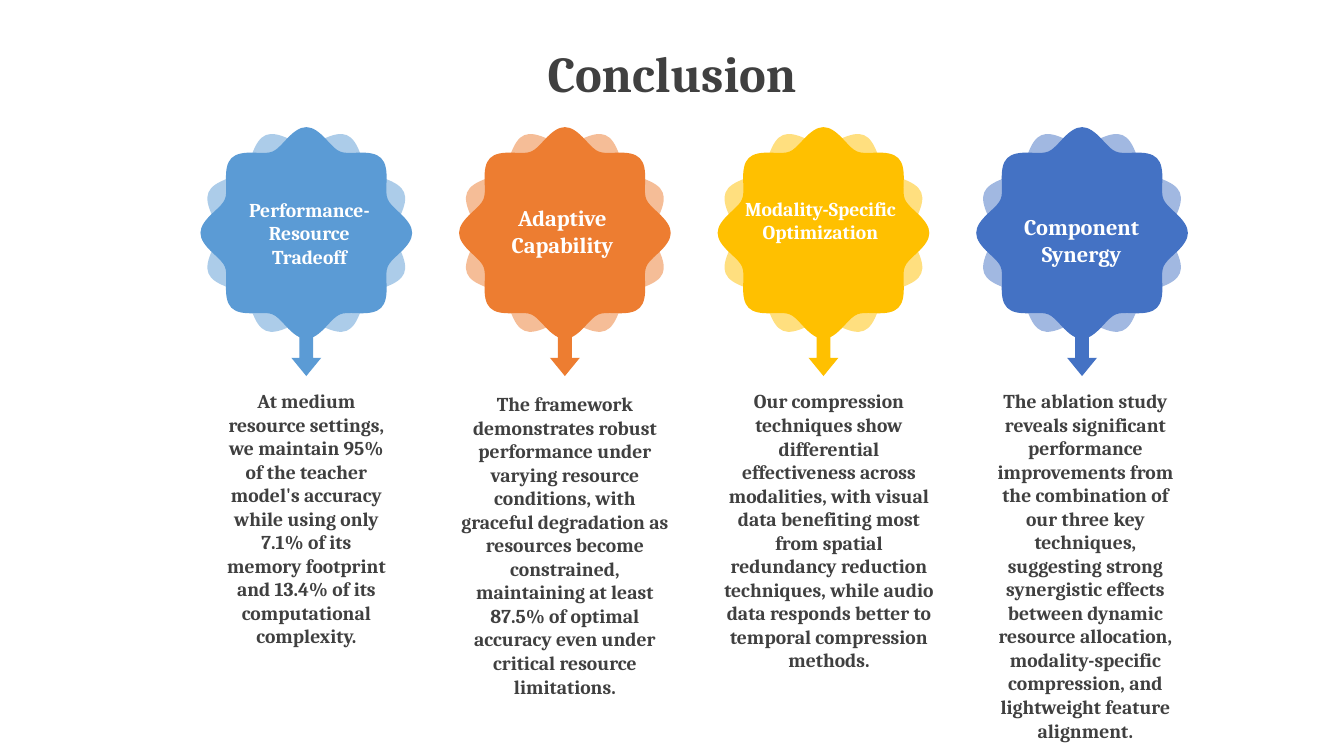
from dataclasses import dataclass
from math import cos, pi, sin

from pptx import Presentation
from pptx.dml.color import RGBColor
from pptx.enum.shapes import MSO_SHAPE
from pptx.enum.text import MSO_ANCHOR, MSO_AUTO_SIZE, PP_ALIGN
from pptx.oxml.ns import qn
from pptx.oxml.xmlchemy import OxmlElement
from pptx.shapes.autoshape import Shape
from pptx.slide import Slide
from pptx.util import Pt

DOWN_ARROW = MSO_SHAPE.DOWN_ARROW
CENTER = PP_ALIGN.CENTER
TOP = MSO_ANCHOR.TOP
FIT_SHAPE = MSO_AUTO_SIZE.SHAPE_TO_FIT_TEXT

FONT = "Cambria"
DARK, WHITE = "404040", "FFFFFF"

# All lengths are in points
FIRST_CENTER, COLUMN_PITCH, BADGE_MIDDLE = 218.8, 184.7, 166.4
LOBES = 8
ARROW_TOP, ARROW_WIDTH, ARROW_HEIGHT = 226, 21.4, 42.6

Point = tuple[float, float]

# One lobe around the badge centre: controls and end of its tip curve,
# then controls of the valley curve that leads to the next lobe
LOBE_START: Point = (-14.75, -66.3)
TIP: list[Point] = [(-3.4, -78.7), (3.4, -78.7), (14.75, -66.3)]
VALLEY: list[Point] = [(23.2, -57.1), (23.97, -56.8)]


@dataclass
class Box:
    left: float
    top: float
    width: float
    height: float


@dataclass
class Finding:
    heading: str
    heading_size: float
    heading_box: Box
    detail: str
    detail_box: Box
    color: str


FINDINGS = [
    Finding("Performance-Resource Tradeoff", 14, Box(166.3, 137.5, 109.4, 58.3),
            "At medium resource settings, we maintain 95% of the teacher model's "
            "accuracy while using only 7.1% of its memory footprint and 13.4% of "
            "its computational complexity.",
            Box(153.4, 274.3, 131, 227.5), "5B9BD5"),
    Finding("Adaptive Capability", 16, Box(339.1, 142.6, 125.3, 46.1),
            "The framework demonstrates robust performance under varying resource "
            "conditions, with graceful degradation as resources become constrained, "
            "maintaining at least 87.5% of optimal accuracy even under critical "
            "resource limitations.",
            Box(319.7, 276.5, 167.8, 227.5), "ED7D31"),
    Finding("Modality-Specific Optimization", 14, Box(521.3, 136.8, 129.6, 58.3),
            "Our compression techniques show differential effectiveness across "
            "modalities, with visual data benefiting most from spatial redundancy "
            "reduction techniques, while audio data responds better to temporal "
            "compression methods.",
            Box(508.3, 274.6, 167.8, 211), "FFC000"),
    Finding("Component Synergy", 16, Box(707.8, 149, 129.6, 46.1),
            "The ablation study reveals significant performance improvements from "
            "the combination of our three key techniques, suggesting strong "
            "synergistic effects between dynamic resource allocation, "
            "modality-specific compression, and lightweight feature alignment.",
            Box(699.8, 274.3, 151.2, 262.1), "4472C4"),
]


def rgb(color: str) -> RGBColor:
    return RGBColor.from_string(color)


def paint(shape: Shape, color: str, opacity: int = 100) -> None:
    shape.shadow.inherit = False
    shape.fill.solid()
    shape.fill.fore_color.rgb = rgb(color)
    shape.line.fill.background()
    if opacity < 100:
        alpha = OxmlElement("a:alpha")
        alpha.set("val", str(opacity * 1000))
        next(shape.element.iter(qn("a:srgbClr"))).append(alpha)


def write(shape: Shape, text: str, size: float, color: str) -> None:
    frame = shape.text_frame
    frame.word_wrap = True
    frame.auto_size = FIT_SHAPE
    frame.vertical_anchor = TOP
    paragraph = frame.paragraphs[0]
    paragraph.alignment = CENTER
    run = paragraph.add_run()
    run.text = text
    run.font.name = FONT
    run.font.size = Pt(size)
    run.font.bold = True
    run.font.color.rgb = rgb(color)


def add_text(slide: Slide, box: Box, text: str, size: float, color: str) -> None:
    shape = slide.shapes.add_textbox(
        Pt(box.left), Pt(box.top), Pt(box.width), Pt(box.height))
    write(shape, text, size, color)


def curve_segments(shape: Shape) -> None:
    """Turn every three line segments into one cubic curve."""
    segments = list(shape.element.iter(qn("a:lnTo")))
    for first in range(0, len(segments), 3):
        curve = OxmlElement("a:cubicBezTo")
        segments[first].addprevious(curve)
        for segment in segments[first:first + 3]:
            curve.append(segment[0])
            segment.getparent().remove(segment)


def add_badge(slide: Slide, center: float, turn: float, color: str,
              opacity: int = 100) -> None:
    """Scalloped badge: one lobe repeated around the centre."""
    outline = []
    for index in range(LOBES):
        angle = turn + index * 2 * pi / LOBES
        outline += [(Pt(center + x * cos(angle) - y * sin(angle)),
                     Pt(BADGE_MIDDLE + x * sin(angle) + y * cos(angle)))
                    for x, y in [LOBE_START, *TIP, *VALLEY]]
    builder = slide.shapes.build_freeform(*outline[0])
    builder.add_line_segments(outline[1:] + outline[:1], close=True)
    badge = builder.convert_to_shape()
    curve_segments(badge)
    paint(badge, color, opacity)


def add_arrow(slide: Slide, center: float, color: str) -> None:
    arrow = slide.shapes.add_shape(
        DOWN_ARROW, Pt(center - ARROW_WIDTH / 2), Pt(ARROW_TOP),
        Pt(ARROW_WIDTH), Pt(ARROW_HEIGHT))
    arrow.adjustments[0] = 0.46
    arrow.adjustments[1] = 0.61
    paint(arrow, color)


def main() -> None:
    presentation = Presentation()
    presentation.slide_width, presentation.slide_height = Pt(960), Pt(540)
    slide = presentation.slides.add_slide(presentation.slide_layouts[5])

    # Title
    title = slide.shapes.title
    title.left, title.top, title.width, title.height = Pt(0), Pt(26.6), Pt(960), Pt(51)
    write(title, "Conclusion", 36, DARK)

    # Arrow and double badge above each finding
    for column, finding in enumerate(FINDINGS):
        center = FIRST_CENTER + column * COLUMN_PITCH
        add_arrow(slide, center, finding.color)
        add_badge(slide, center, pi / LOBES, finding.color, opacity=50)
        add_badge(slide, center, 0, finding.color)

    # Details and badge headings
    for finding in FINDINGS:
        add_text(slide, finding.detail_box, finding.detail, 14, DARK)
        add_text(slide, finding.heading_box, finding.heading,
                 finding.heading_size, WHITE)

    presentation.save("out.pptx")


if __name__ == "__main__":
    main()
